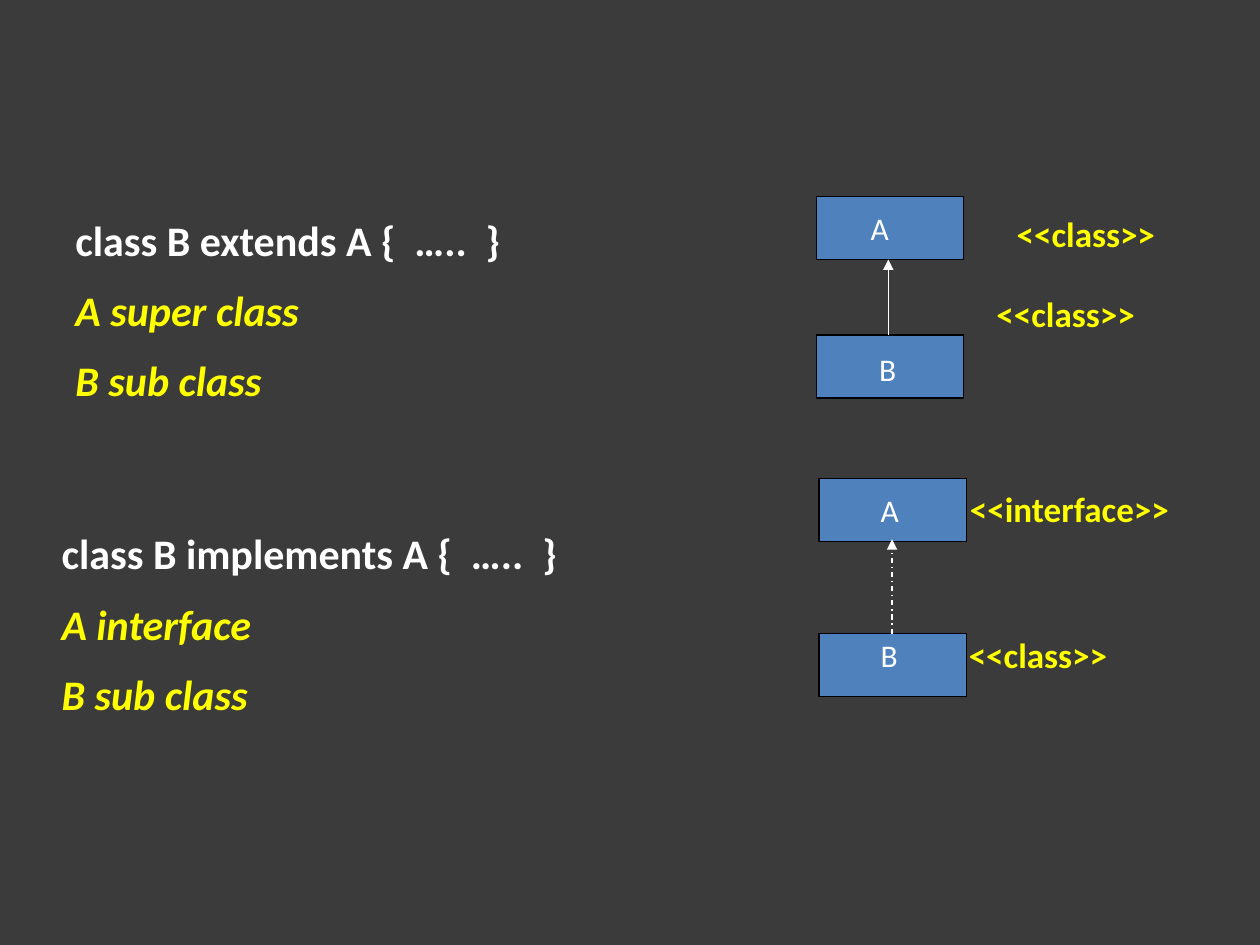
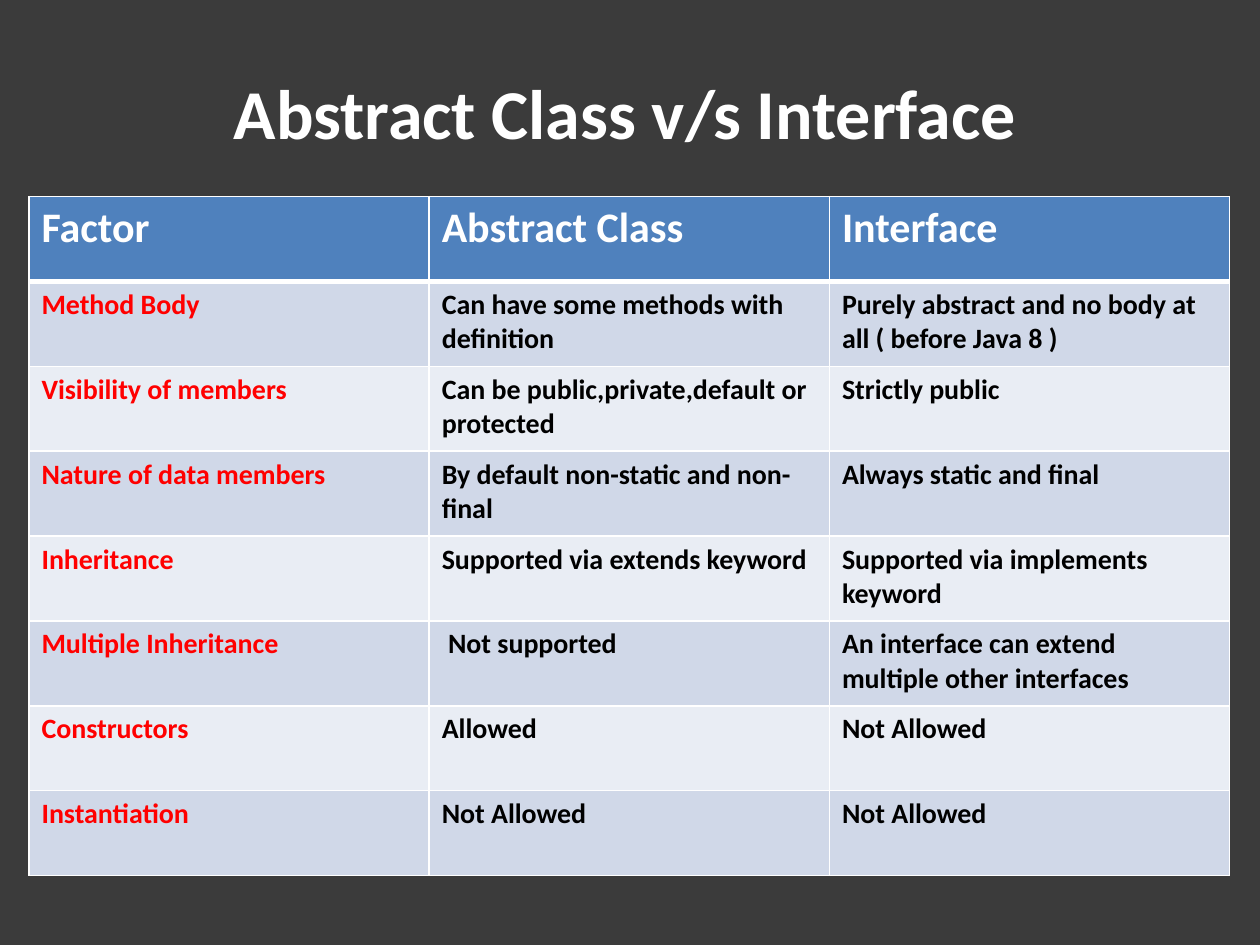
from dataclasses import dataclass
from typing import Optional

import pptx
import pptx.dml.color
import pptx.enum.dml
import pptx.enum.shapes
import pptx.enum.text
import pptx.oxml
import pptx.oxml.ns
import pptx.util

RGBColor = pptx.dml.color.RGBColor
Dash = pptx.enum.dml.MSO_LINE
Align = pptx.enum.text.PP_ALIGN
Anchor = pptx.enum.text.MSO_ANCHOR

# Shared look
BACKDROP = RGBColor(0x3B, 0x3B, 0x3B)
WHITE = RGBColor(0xFF, 0xFF, 0xFF)
BLACK = RGBColor(0x00, 0x00, 0x00)
YELLOW = RGBColor(0xFF, 0xFF, 0x00)
RED = RGBColor(0xFF, 0x00, 0x00)
BLUE = RGBColor(0x4F, 0x81, 0xBD)
BANDS = (RGBColor(0xD0, 0xD8, 0xE8), RGBColor(0xE9, 0xED, 0xF4))
FONT = "Calibri"
THIN = pptx.util.Pt(0.75)

# The slide is a grid of 100 columns by 75 rows
COLUMNS, ROWS = 100, 75
SLIDE_WIDTH = pptx.util.Inches(10)
SLIDE_HEIGHT = pptx.util.Inches(7.5)
BOX_WIDTH, BOX_HEIGHT = 11.7, 5


@dataclass(frozen=True)
class Area:
    column: float
    row: float
    width: float
    height: float

    def emu(self) -> tuple[int, int, int, int]:
        return (across(self.column), down(self.row), across(self.width), down(self.height))


@dataclass(frozen=True)
class Style:
    size: float
    color: RGBColor
    bold: bool = True
    italic: bool = False


@dataclass(frozen=True)
class Stereotype:
    text: str
    area: Area


@dataclass(frozen=True)
class Relation:
    """Code on the left, and on the right B pointing up at its parent A."""
    code: tuple[str, ...]
    code_area: Area
    box_column: float
    parent_row: float
    child_row: float
    parent_indent: float
    child_label: Area
    arrow_column: float
    arrow_tip_row: float
    dash: Optional[Dash]
    stereotypes: tuple[Stereotype, ...]


TITLE = Style(40, WHITE)
CODE = Style(24, WHITE)
ROLE = Style(24, YELLOW, italic=True)
STEREOTYPE = Style(20, YELLOW)
BOX_LABEL = Style(18, WHITE, bold=False)
HEADER = Style(24, WHITE)
FACTOR = Style(16, RED)
DETAIL = Style(16, BLACK)

RELATIONS = (
    Relation(
        code=("class B extends A {  …..  }", "A super class", "B sub class"),
        code_area=Area(5, 16.5, 58.3, 17.2),
        box_column=64.8, parent_row=15.6, child_row=26.6,
        parent_indent=4.3, child_label=Area(68.8, 27.3, 3.4, 4),
        arrow_column=70.5, arrow_tip_row=20.6, dash=None,
        stereotypes=(
            Stereotype("<<class>>", Area(79.7, 16.4, 17.5, 4.3)),
            Stereotype("<<class>>", Area(78.1, 22.7, 18.2, 4.3)),
        ),
    ),
    Relation(
        code=("class B implements A {  …..  }", "A interface", "B sub class"),
        code_area=Area(3.9, 41.4, 58.3, 17.2),
        box_column=65, parent_row=38, child_row=50.3,
        parent_indent=4.9, child_label=Area(68.9, 50, 3.4, 4),
        arrow_column=70.8, arrow_tip_row=42.8, dash=Dash.DASH_DOT,
        stereotypes=(
            Stereotype("<<interface>>", Area(76, 38.2, 24, 4.3)),
            Stereotype("<<class>>", Area(75.9, 49.8, 17.8, 4.3)),
        ),
    ),
)

COMPARISON = (
    ("Factor", "Abstract Class", "Interface"),
    ("Method Body", "Can have some methods with definition",
     "Purely abstract and no body at all ( before Java 8 )"),
    ("Visibility of members", "Can be public,private,default or protected",
     "Strictly public"),
    ("Nature of data members", "By default non-static and non-final",
     "Always static and final"),
    ("Inheritance", "Supported via extends keyword",
     "Supported via implements keyword"),
    ("Multiple Inheritance", " Not supported",
     "An interface can extend multiple other interfaces"),
    ("Constructors", "Allowed", "Not Allowed"),
    ("Instantiation", "Not Allowed", "Not Allowed"),
)
COMPARISON_AREA = Area(2.3, 15.6, 95.3, 53.9)


def across(columns: float) -> int:
    return round(SLIDE_WIDTH * columns / COLUMNS)


def down(rows: float) -> int:
    return round(SLIDE_HEIGHT * rows / ROWS)


def add_slide(deck):
    slide = deck.slides.add_slide(deck.slide_layouts[6])
    slide.background.fill.solid()
    slide.background.fill.fore_color.rgb = BACKDROP
    return slide


def write(paragraph, text: str, style: Style) -> None:
    paragraph.text = text
    for run in paragraph.runs:
        run.font.name = FONT
        run.font.size = pptx.util.Pt(style.size)
        run.font.bold = style.bold
        run.font.italic = style.italic
        run.font.color.rgb = style.color


def add_text(slide, area: Area, lines: tuple[str, ...], styles: tuple[Style, ...],
             align: Align = Align.LEFT, wrap: bool = True) -> None:
    frame = slide.shapes.add_textbox(*area.emu()).text_frame
    frame.word_wrap = wrap
    for index, (line, style) in enumerate(zip(lines, styles)):
        paragraph = frame.add_paragraph() if index else frame.paragraphs[0]
        write(paragraph, line, style)
        paragraph.alignment = align
        if index:
            paragraph.space_before = pptx.util.Pt(11.3)


def add_box(slide, column: float, row: float):
    box = slide.shapes.add_shape(pptx.enum.shapes.MSO_SHAPE.RECTANGLE,
                                 *Area(column, row, BOX_WIDTH, BOX_HEIGHT).emu())
    box.shadow.inherit = False
    box.fill.solid()
    box.fill.fore_color.rgb = BLUE
    box.line.color.rgb = BLACK
    box.line.width = THIN
    return box


def add_arrow(slide, column: float, start_row: float, tip_row: float,
              dash: Optional[Dash]) -> None:
    arrow = slide.shapes.add_connector(
        pptx.enum.shapes.MSO_CONNECTOR.STRAIGHT,
        across(column), down(start_row), across(column), down(tip_row))
    arrow.line.color.rgb = WHITE
    arrow.line.width = THIN
    if dash is not None:
        arrow.line.dash_style = dash
    properties = arrow.element.spPr
    head = pptx.oxml.ns.qn("a:tailEnd")
    arrow.line._get_or_add_ln().append(
        properties.makeelement(head, {"type": "triangle"}))
    properties.append(properties.makeelement(pptx.oxml.ns.qn("a:effectLst"), {}))


def add_relation(slide, relation: Relation) -> None:
    # Parent and child boxes
    parent = add_box(slide, relation.box_column, relation.parent_row)
    frame = parent.text_frame
    frame.margin_left = across(relation.parent_indent)
    frame.vertical_anchor = Anchor.MIDDLE
    write(frame.paragraphs[0], "A", BOX_LABEL)
    frame.paragraphs[0].alignment = Align.LEFT
    add_box(slide, relation.box_column, relation.child_row)
    add_text(slide, relation.child_label, ("B",), (BOX_LABEL,), wrap=False)
    add_arrow(slide, relation.arrow_column, relation.child_row,
              relation.arrow_tip_row, relation.dash)
    # Code and stereotypes
    add_text(slide, relation.code_area, relation.code, (CODE, ROLE, ROLE))
    for stereotype in relation.stereotypes:
        add_text(slide, stereotype.area, (stereotype.text,), (STEREOTYPE,))


def set_borders(cell, top: float, bottom: float) -> None:
    properties = cell._tc.get_or_add_tcPr()
    for side, points in (("L", 1), ("R", 1), ("T", top), ("B", bottom)):
        properties.append(pptx.oxml.parse_xml(
            f'<a:ln{side} {pptx.oxml.ns.nsdecls("a")} w="{pptx.util.Pt(points)}">'
            f'<a:solidFill><a:srgbClr val="{WHITE}"/></a:solidFill></a:ln{side}>'))


def add_comparison(slide) -> None:
    table = slide.shapes.add_table(len(COMPARISON), len(COMPARISON[0]),
                                   *COMPARISON_AREA.emu()).table
    for column in table.columns:
        column.width = across(COMPARISON_AREA.width / len(COMPARISON[0]))
    for row_index, entries in enumerate(COMPARISON):
        table.rows[row_index].height = down(COMPARISON_AREA.height / len(COMPARISON))
        for column_index, entry in enumerate(entries):
            cell = table.cell(row_index, column_index)
            if row_index == 0:
                style, fill = HEADER, BLUE
            else:
                style = DETAIL if column_index else FACTOR
                fill = BANDS[(row_index - 1) % 2]
            write(cell.text_frame.paragraphs[0], entry, style)
            set_borders(cell, top=3 if row_index == 1 else 1,
                        bottom=3 if row_index == 0 else 1)
            cell.fill.solid()
            cell.fill.fore_color.rgb = fill


def main() -> None:
    deck = pptx.Presentation()
    deck.slide_width, deck.slide_height = SLIDE_WIDTH, SLIDE_HEIGHT

    # Extending and implementing
    inheritance = add_slide(deck)
    for relation in RELATIONS:
        add_relation(inheritance, relation)

    # Comparison table
    comparison = add_slide(deck)
    add_text(comparison, Area(2.5, 5, 94.2, 7.7), ("Abstract Class v/s Interface",),
             (TITLE,), align=Align.CENTER)
    add_comparison(comparison)

    deck.save("out.pptx")


if __name__ == "__main__":
    main()
